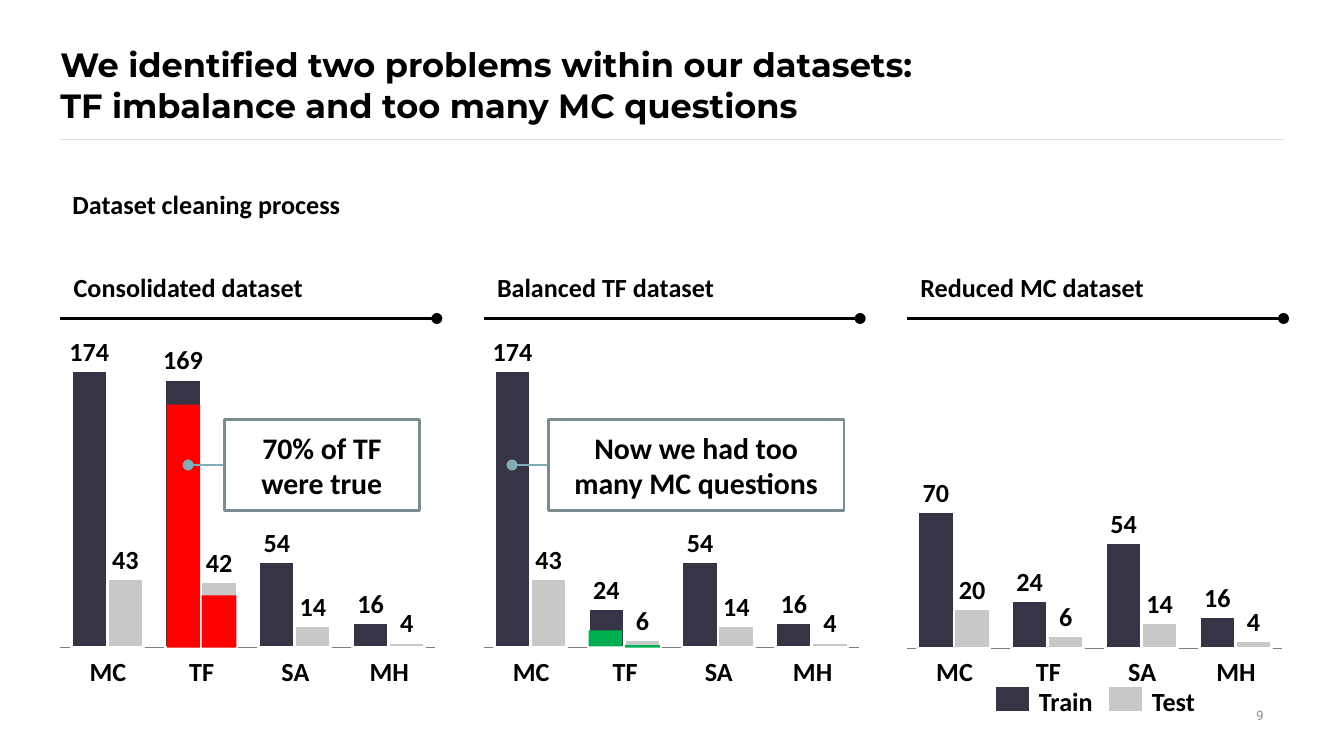
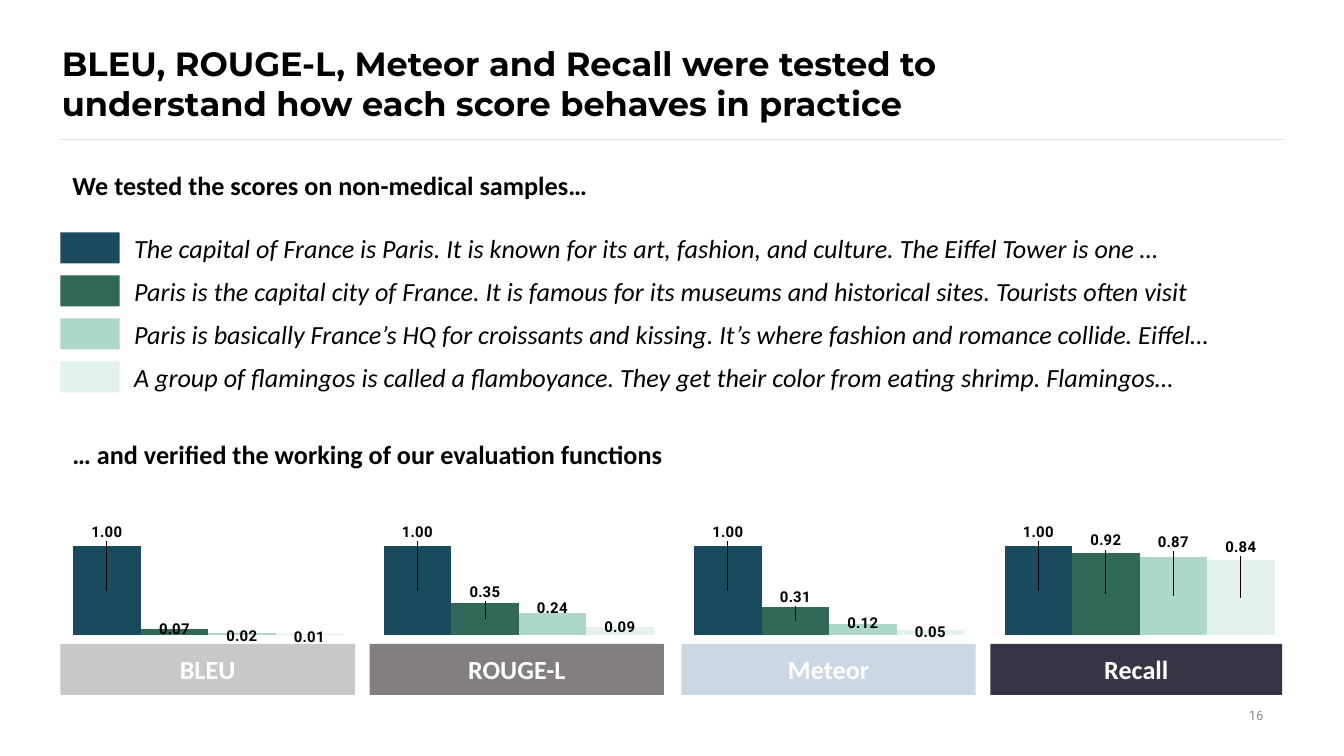
import pptx
import pptx.chart.data
import pptx.dml.color
import pptx.enum.chart
import pptx.enum.shapes
import pptx.enum.text
import pptx.oxml
import pptx.oxml.ns
import pptx.util

PX = 9144
SLIDE_W = 1000
C = {
    "ink": "000000", "white": "FFFFFF", "rule": "E0E0E0", "page": "8C8C8C",
    "train": "373545", "test": "C8C8C8", "axis": "7F7F7F",
    "red": "FF0000", "green": "00B050", "leader": "84ACB6", "frame": "7A8C8E",
    "teal": "1A4A5D", "forest": "316857", "mint": "ACD7CA", "pale": "E3F2ED",
    "grey": "837F7F", "ice": "CBD8E4",
}

DATASET_TITLE = ("We identified two problems within our datasets: "
                 "TF imbalance and too many MC questions", (45, 33, 667, 39), 9)
QUESTION_TYPES = ["MC", "TF", "SA", "MH"]
PANELS = [
    {"name": "Consolidated dataset", "top": 267, "plot": (0.04, 0.92),
     "heights": [(100, 97, 31, 9), (25, 24, 8, 2)],
     "counts": [(174, 169, 54, 16), (43, 42, 14, 4)]},
    {"name": "Balanced TF dataset", "top": 267, "plot": (0.04, 0.92),
     "heights": [(100, 14, 31, 9), (25, 3, 8, 2)],
     "counts": [(174, 24, 54, 16), (43, 6, 14, 4)]},
    {"name": "Reduced MC dataset", "top": 371, "plot": (0.08, 0.85),
     "heights": [(100, 35, 77, 23), (29, 9, 19, 6)],
     "counts": [(70, 24, 54, 16), (20, 6, 14, 4)]},
]
PANEL_X, PANEL_W, PANEL_PITCH, CHART_BOTTOM = 45, 280, 315, 491
HIGHLIGHTS = [
    ("red", (124, 301, 25, 181)), ("red", (150, 443, 26, 39)),
    ("green", (438, 469, 25, 12)), ("green", (465, 480, 26, 2)),
]
CALLOUTS = [
    ("70% of TF were true", 140, (167, 312, 145, 68)),
    ("Now we had too many MC questions", 381, (408, 312, 220, 68)),
]
LEGEND = [("Train", "train", 740, 41), ("Test", "test", 824, 35)]

SCORE_TITLE = ("BLEU, ROUGE-L, Meteor and Recall were tested to "
               "understand how each score behaves in practice", (46, 32, 729, 39), 16)
SAMPLES = [
    {"color": "teal", "scores": (1, 1, 1, 1), "shifts": (-43, -43, -43, -43),
     "text": "The capital of France is Paris. It is known for its art, fashion, "
             "and culture. The Eiffel Tower is one …"},
    {"color": "forest", "scores": (0.067, 0.353, 0.306, 0.915), "shifts": (-1, -20, -17, -40),
     "text": "Paris is the capital city of France. It is famous for its museums "
             "and historical sites. Tourists often visit"},
    {"color": "mint", "scores": (0.0193, 0.238, 0.119, 0.8737), "shifts": (2, -12, -5, -39),
     "text": "Paris is basically France’s HQ for croissants and kissing. It’s where "
             "fashion and romance collide. Eiffel…"},
    {"color": "pale", "scores": (0.0106, 0.0874, 0.05188, 0.836), "shifts": (2, -2, 0, -37),
     "text": "A group of flamingos is called a flamboyance. They get their color "
             "from eating shrimp. Flamingos…"},
]
METRICS = [("BLEU", "test", 45, 219), ("ROUGE-L", "grey", 275, 219),
           ("Meteor", "ice", 507, 219), ("Recall", "train", 737, 217)]
SCORE_CHART = (30, 376, 943, 116)

ALIGN = {"l": pptx.enum.text.PP_ALIGN.LEFT, "c": pptx.enum.text.PP_ALIGN.CENTER,
         "r": pptx.enum.text.PP_ALIGN.RIGHT}
ANCHOR = {"t": pptx.enum.text.MSO_ANCHOR.TOP, "m": pptx.enum.text.MSO_ANCHOR.MIDDLE,
          "b": pptx.enum.text.MSO_ANCHOR.BOTTOM}


def rgb(name):
    return pptx.dml.color.RGBColor.from_string(C[name])


def emu(box):
    return [round(v * PX) for v in box]


def style(font, size, color="ink", face="Calibri", bold=True, italic=False):
    font.size, font.name, font.bold, font.italic = pptx.util.Pt(size), face, bold, italic
    font.color.rgb = rgb(color)


def write(sp, text, size=14, align="l", anchor="m", inset=(10, 5), wrap=True, **font):
    tf = sp.text_frame
    tf.word_wrap = wrap
    tf.margin_left = tf.margin_right = inset[0] * PX
    tf.margin_top = tf.margin_bottom = inset[1] * PX
    tf.vertical_anchor = ANCHOR[anchor]
    tf.text = text
    p = tf.paragraphs[0]
    p.alignment = ALIGN[align]
    style(p.runs[0].font, size, **font)


def label(s, box, text, **kw):
    write(s.shapes.add_textbox(*emu(box)), text, **kw)


def rect(s, box, fill, border=None):
    sp = s.shapes.add_shape(pptx.enum.shapes.MSO_SHAPE.RECTANGLE, *emu(box))
    sp.shadow.inherit = False
    sp.fill.solid()
    sp.fill.fore_color.rgb = rgb(fill)
    if border:
        sp.line.color.rgb = rgb(border)
        sp.line.width = pptx.util.Pt(1.5)
    else:
        sp.line.fill.background()
    return sp


def rule(s, x1, x2, y, color, width, oval=None):
    cx = s.shapes.add_connector(pptx.enum.shapes.MSO_CONNECTOR.STRAIGHT, *emu((x1, y, x2, y)))
    cx.line.color.rgb = rgb(color)
    cx.line.width = pptx.util.Pt(width)
    pr = cx._element.spPr
    if oval:
        end = pptx.oxml.parse_xml(f'<a:{oval} {pptx.oxml.ns.nsdecls("a")} type="oval"/>')
        cx.line._get_or_add_ln().append(end)
    pr.append(pptx.oxml.parse_xml(f'<a:effectLst {pptx.oxml.ns.nsdecls("a")}/>'))


def layout(inner):
    return pptx.oxml.parse_xml(
        f'<c:layout {pptx.oxml.ns.nsdecls("c")}><c:manualLayout>{inner}</c:manualLayout></c:layout>')


def column_chart(s, box, series, plot, top, number_format="General"):
    data = pptx.chart.data.CategoryChartData(number_format=number_format)
    data.categories = ["1", "2", "3", "4"]
    for i, (values, _) in enumerate(series, 1):
        data.add_series(f"Series {i}", values)
    kind = pptx.enum.chart.XL_CHART_TYPE.COLUMN_CLUSTERED
    chart = s.shapes.add_chart(kind, *emu(box), data).chart
    style(chart.font, 10, bold=False)
    chart.has_title = chart.has_legend = False
    axis = chart.value_axis
    axis.minimum_scale, axis.maximum_scale = 0, top
    axis.has_major_gridlines = axis.visible = False
    bars = chart.plots[0]
    bars.gap_width, bars.overlap, bars.vary_by_categories = 60, 0, False
    for ser, (_, color) in zip(bars.series, series):
        ser.format.fill.solid()
        ser.format.fill.fore_color.rgb = rgb(color)
        ser.invert_if_negative = False
    area = chart._chartSpace.chart.plotArea
    for old in area.findall(pptx.oxml.ns.qn("c:layout")):
        area.remove(old)
    sizes = "".join(f'<c:{k} val="{v}"/>' for k, v in zip("xywh", plot))
    area.insert(0, layout('<c:layoutTarget val="inner"/><c:xMode val="edge"/>'
                          '<c:yMode val="edge"/>' + sizes))
    return chart


def new_slide(prs, title, box, number):
    s = prs.slides.add_slide(prs.slide_layouts[6])
    rule(s, 955, 45, 104, "rule", 0.75)
    label(s, box, title, size=18, anchor="t", inset=(0, 0), face="Montserrat")
    label(s, (717, 517, 233, 30), str(number), size=7, align="r",
          face="Roboto", color="page", bold=False)
    return s


def heading(s, y, text):
    label(s, (44, y, 615, 39), text)


def dataset_panel(s, x, panel):
    rule(s, x, x + PANEL_W, 237, "ink", 1.5, "tailEnd")
    label(s, (x, 193, PANEL_W, 41), panel["name"])
    left, top, width = x - 9, panel["top"], 297
    height = CHART_BOTTOM - top
    y, h = panel["plot"]
    chart = column_chart(s, (left, top, width, height),
                         list(zip(panel["heights"], ("train", "test"))), (0.03, y, 0.94, h), 100)
    axis = chart.category_axis
    axis.major_tick_mark = axis.minor_tick_mark = pptx.enum.chart.XL_TICK_MARK.NONE
    axis.tick_label_position = pptx.enum.chart.XL_TICK_LABEL_POSITION.NONE
    axis.format.line.color.rgb = rgb("axis")
    axis.format.line.width = pptx.util.Pt(0.75)
    for ser in chart.plots[0].series:
        ser.format.line.color.rgb = rgb("white")
        ser.format.line.width = pptx.util.Pt(1.5)

    slot = 0.94 * width / 4
    bar = slot / 2.6
    base = top + (y + h) * height
    for i, name in enumerate(QUESTION_TYPES):
        mid = left + 0.03 * width + (i + 0.5) * slot + 0.5
        label(s, (mid - 15, 488, 30, 23), name, align="c", anchor="t", inset=(0, 0), wrap=False)
        for side, heights, counts in zip((-0.5, 0.5), panel["heights"], panel["counts"]):
            bar_top = base - heights[i] / 100 * h * height
            label(s, (mid + side * bar - 18, bar_top - 26, 35, 23), str(counts[i]),
                  align="c", anchor="b", inset=(2, 0), wrap=False)


def dataset_slide(prs):
    s = new_slide(prs, *DATASET_TITLE)
    heading(s, 132, "Dataset cleaning process")
    for i, panel in enumerate(PANELS):
        dataset_panel(s, PANEL_X + i * PANEL_PITCH, panel)
    for color, box in HIGHLIGHTS:
        rect(s, box, color)
    for text, x, box in CALLOUTS:
        rule(s, x, box[0], box[1] + box[3] / 2, "leader", 1.5, "headEnd")
        write(rect(s, box, "white", "frame"), text, size=16, align="c")
    for text, color, x, width in LEGEND:
        rect(s, (x, 510, 27, 20), color, "white")
        label(s, (x + 33, 510, width, 23), text, inset=(0, 0), wrap=False)


def score_labels(ser, shifts):
    for i, shift in enumerate(shifts):
        dl = ser.points[i].data_label
        style(dl.font, 8, face="Roboto")
        dl.position = pptx.enum.chart.XL_LABEL_POSITION.CENTER
        dlbl = dl._get_or_add_dLbl()
        dlbl.insert(1, layout(f'<c:x val="0"/><c:y val="{shift / SCORE_CHART[3]:.2f}"/>'))
        dlbl.insert(2, pptx.oxml.parse_xml(
            f'<c:numFmt {pptx.oxml.ns.nsdecls("c")} formatCode="0.00" sourceLinked="0"/>'))
    ser.data_labels._element.append(pptx.oxml.parse_xml(
        f'<c:extLst {pptx.oxml.ns.nsdecls("c")}>'
        '<c:ext uri="{CE6537A1-D6FC-4f65-9D91-7224C49458BB}" '
        'xmlns:c15="http://schemas.microsoft.com/office/drawing/2012/chart">'
        '<c15:showLeaderLines val="1"/></c:ext></c:extLst>'))


def score_slide(prs):
    s = new_slide(prs, *SCORE_TITLE)
    heading(s, 118, "We tested the scores on non-medical samples…")
    heading(s, 318, "… and verified the working of our evaluation functions")
    for i, sample in enumerate(SAMPLES):
        y = 173 + 32 * i
        rect(s, (45, y, 44, 23), sample["color"])
        label(s, (90, y, 864, 23), sample["text"], bold=False, italic=True)
    chart = column_chart(s, SCORE_CHART, [(d["scores"], d["color"]) for d in SAMPLES],
                         (0.01, 0.26, 0.98, 0.57), 1, "0.00")
    chart.category_axis.visible = False
    for ser, sample in zip(chart.plots[0].series, SAMPLES):
        score_labels(ser, sample["shifts"])
    for name, color, x, width in METRICS:
        write(rect(s, (x, 479, width, 38), color), name, align="c", inset=(0, 0), color="white")


def main():
    prs = pptx.Presentation()
    prs.slide_width = SLIDE_W * PX
    prs.slide_height = SLIDE_W * PX * 9 // 16
    dataset_slide(prs)
    score_slide(prs)
    prs.save("out.pptx")


if __name__ == "__main__":
    main()
